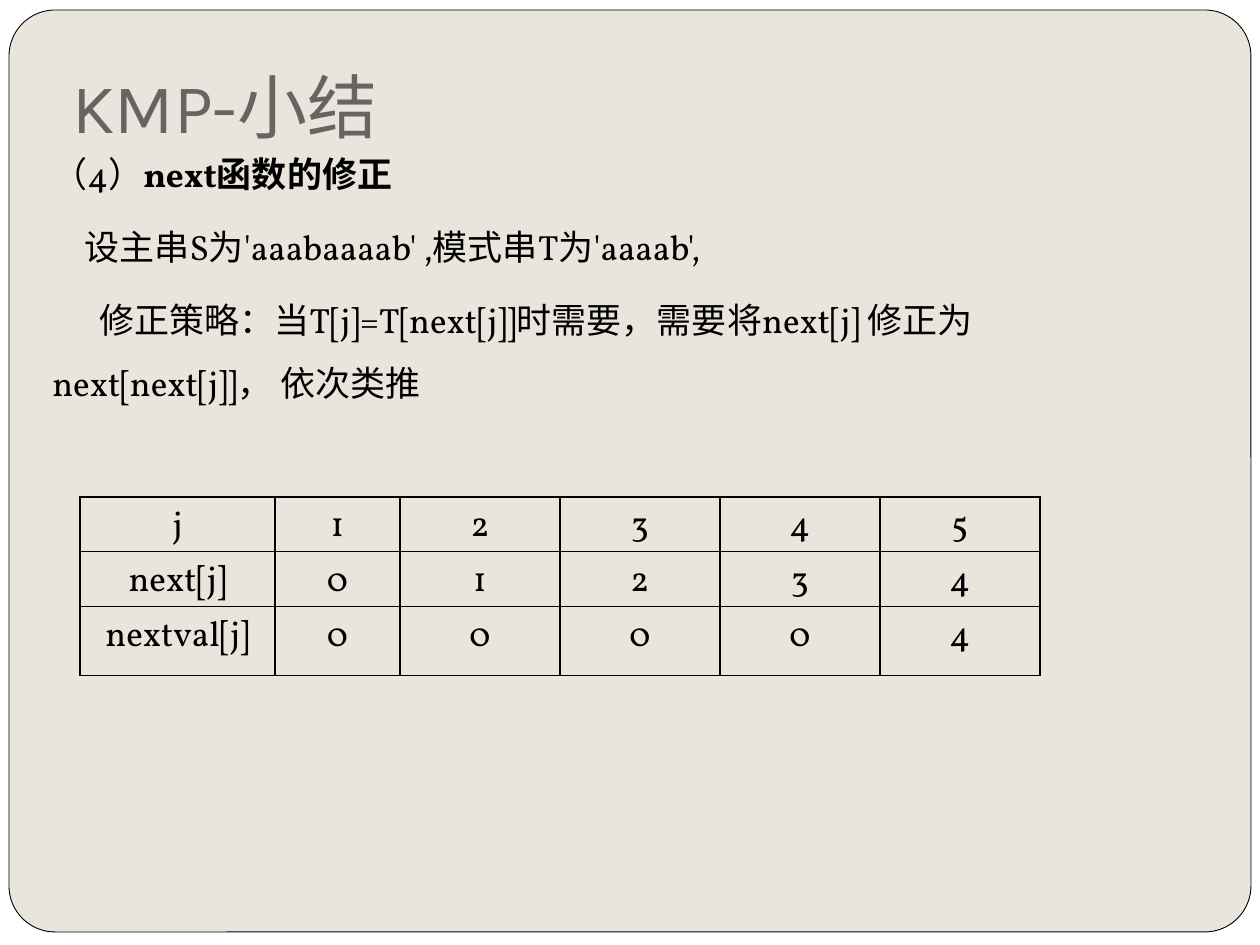
from lxml import etree
from pptx import Presentation
from pptx.dml.color import RGBColor
from pptx.enum.shapes import MSO_SHAPE
from pptx.enum.text import MSO_ANCHOR, PP_ALIGN
from pptx.oxml.ns import qn
from pptx.util import Emu, Pt

RECT = MSO_SHAPE.RECTANGLE
ROUND = MSO_SHAPE.ROUNDED_RECTANGLE
TOP = MSO_ANCHOR.TOP
BOTTOM = MSO_ANCHOR.BOTTOM
LEFT = PP_ALIGN.LEFT
CENTER = PP_ALIGN.CENTER

SCALE = 914400 / 126
SAND = "E9E5DC"
WHITE = "FFFFFF"
BLACK = "000000"
GRAY = "696464"

COLS = [195, 125, 160, 160, 160, 160]
ROWS = [54, 54, 69]
DATA = [
    ["j", "1", "2", "3", "4", "5"],
    ["next[j]", "0", "1", "2", "3", "4"],
    ["nextval[j]", "0", "0", "0", "0", "4"],
]


def px(n):
    return Emu(round(n * SCALE))


def color(code):
    return RGBColor.from_string(code)


def write(para, text, size=20, font="Vollkorn", ink=BLACK, bold=False,
          align=LEFT, before=0, space=None, indent=0):
    para.alignment = align
    para.space_before = Pt(before)
    if space:
        para.line_spacing = space
    if indent:
        props = para._p.get_or_add_pPr()
        props.set("marL", "0")
        props.set("indent", str(px(indent)))
    run = para.add_run()
    run.text = text
    run.font.size = Pt(size)
    run.font.name = font
    run.font.bold = bold
    run.font.color.rgb = color(ink)


def panel(slide, kind, box, fill, line=None):
    shape = slide.shapes.add_shape(kind, *map(px, box))
    shape.shadow.inherit = False
    shape.fill.solid()
    shape.fill.fore_color.rgb = color(fill)
    if line:
        shape.line.color.rgb = color(line)
        shape.line.width = Pt(0.5)
    else:
        shape.line.fill.background()
    return shape


def frame(slide, box, anchor=TOP):
    text = slide.shapes.add_textbox(*map(px, box)).text_frame
    text.word_wrap = True
    text.vertical_anchor = anchor
    return text


def border(cell):
    props = cell._tc.get_or_add_tcPr()
    for spot, side in enumerate(("lnL", "lnR", "lnT", "lnB")):
        line = etree.Element(qn("a:" + side), w=str(Pt(1)))
        fill = etree.SubElement(line, qn("a:solidFill"))
        etree.SubElement(fill, qn("a:srgbClr"), val=BLACK)
        props.insert(spot, line)


def grid(slide, left, top):
    shape = slide.shapes.add_table(
        len(ROWS), len(COLS), px(left), px(top), px(sum(COLS)), px(sum(ROWS)))
    table = shape.table
    table.first_row = False
    table.horz_banding = False
    for col, width in zip(table.columns, COLS):
        col.width = px(width)
    for row, height, words in zip(table.rows, ROWS, DATA):
        row.height = px(height)
        for cell, word in zip(row.cells, words):
            cell.fill.background()
            border(cell)
            write(cell.text_frame.paragraphs[0], word, align=CENTER)


def main():
    deck = Presentation()
    deck.slide_width = px(1260)
    deck.slide_height = px(945)
    slide = deck.slides.add_slide(deck.slide_layouts[6])
    slide.background.fill.solid()
    slide.background.fill.fore_color.rgb = color(SAND)

    panel(slide, RECT, (0, 0, 1260, 945), WHITE)
    card = panel(slide, ROUND, (9, 10, 1242, 922), SAND, line=BLACK)
    card.adjustments[0] = 0.05

    title = frame(slide, (60, 38, 1071, 123), anchor=BOTTOM)
    title.margin_bottom = px(13)
    write(title.paragraphs[0], "KMP-小结", size=40, font="Karla", ink=GRAY)

    body = frame(slide, (40, 146, 1137, 725))
    head = body.paragraphs[0]
    write(head, "（4）", before=5.8)
    write(head, "next函数的修正", bold=True, before=5.8)
    write(body.add_paragraph(), "设主串S为'aaabaaaab' ,模式串T为'aaaab',",
          before=5.8, space=1.5, indent=32)
    write(body.add_paragraph(),
          "修正策略：当T[j]=T[next[j]]时需要，需要将next[j] 修正为next[next[j]]， 依次类推",
          before=5.8, space=1.5, indent=47)

    grid(slide, 80, 497)
    deck.save("out.pptx")


if __name__ == "__main__":
    main()
